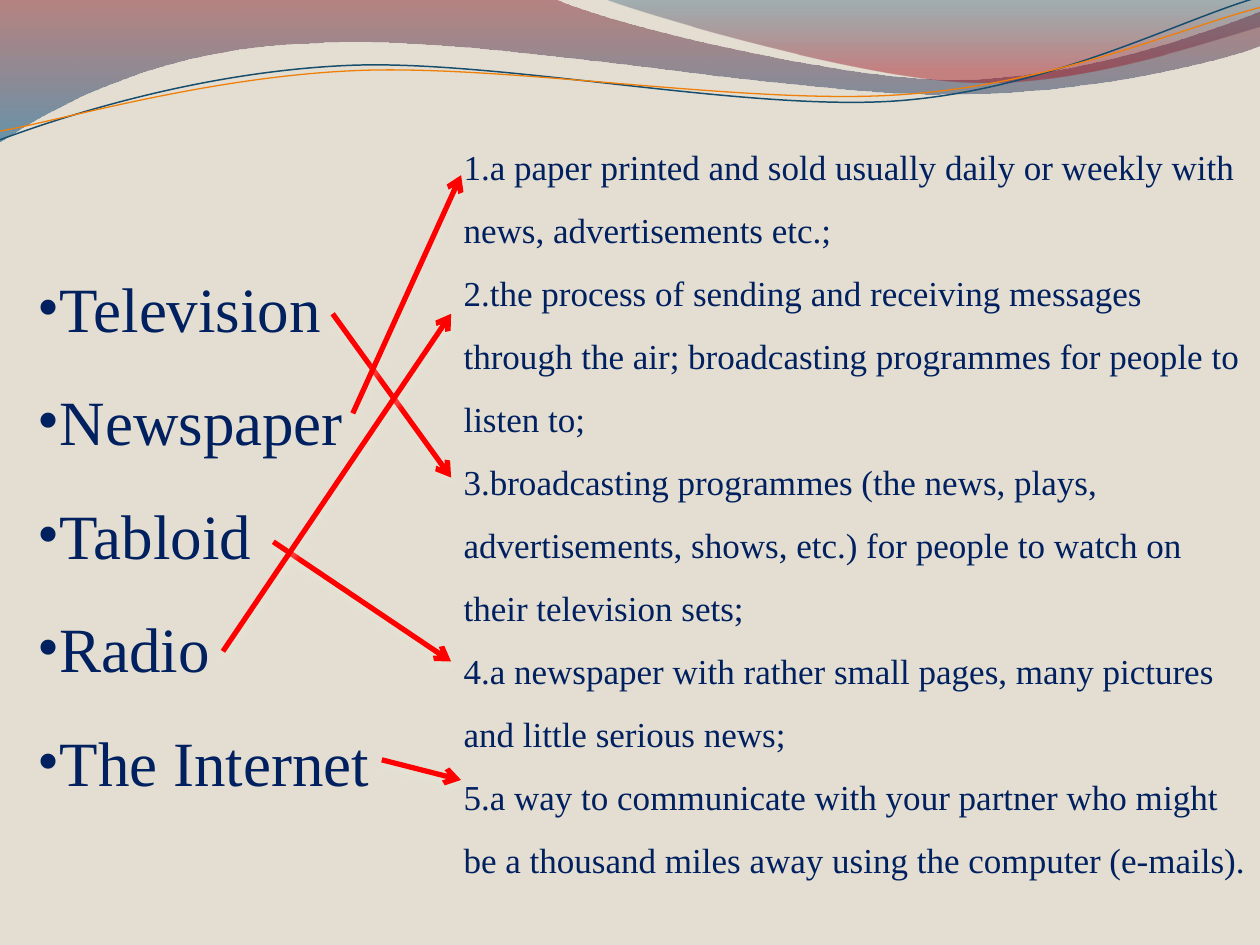
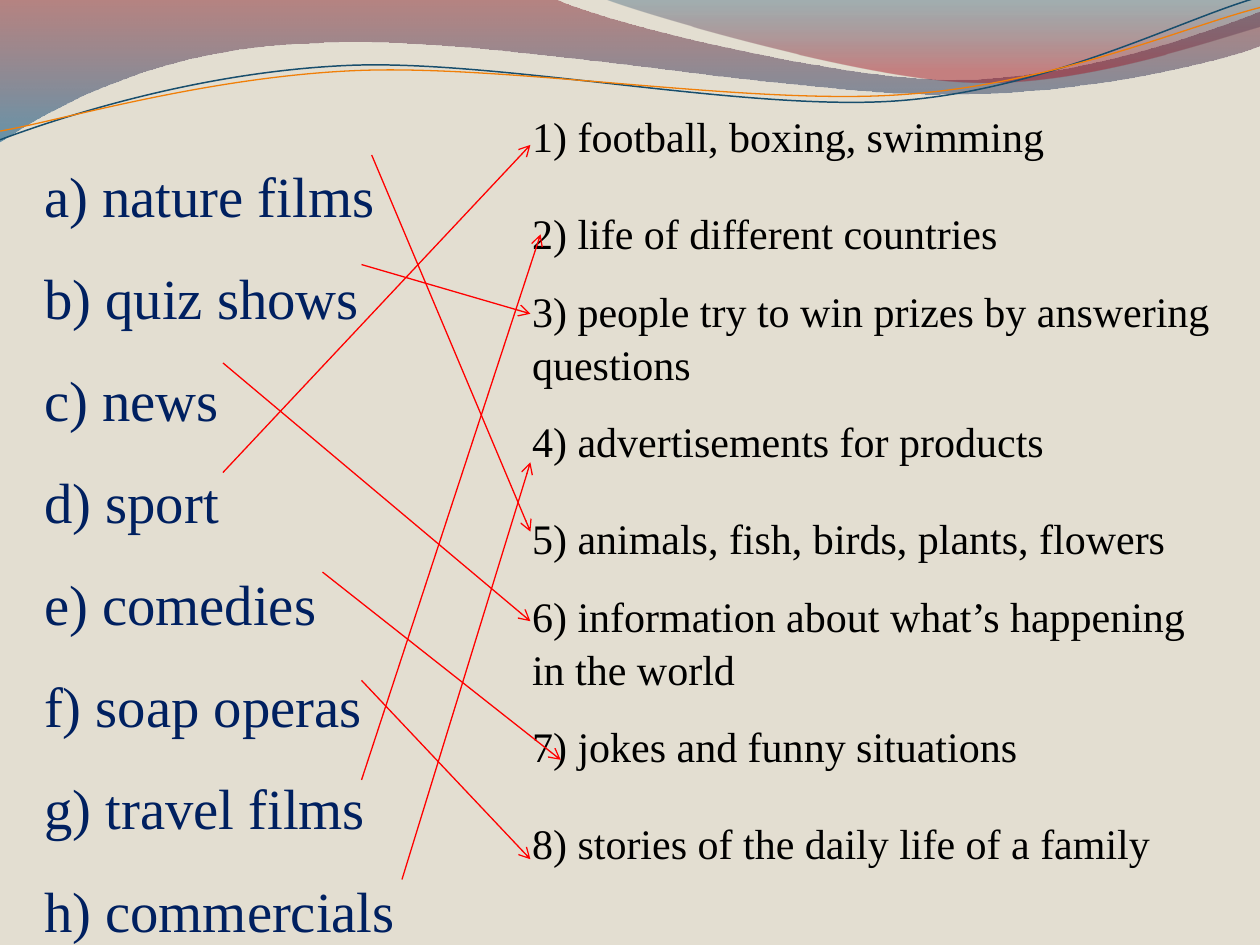
from lxml.etree import SubElement
from pptx import Presentation
from pptx.dml.color import RGBColor
from pptx.enum.shapes import MSO_CONNECTOR
from pptx.enum.text import MSO_ANCHOR, MSO_AUTO_SIZE, PP_ALIGN
from pptx.oxml.ns import qn
from pptx.util import Pt

NAVY, BLACK, RED, SAND, HALO = "002060", "000000", "FF0000", "E3DED1", "EBF0E0"
FONT = "Times New Roman"
NO_GRID_STYLE = "{2D5ABB26-0587-4C30-8999-92F81FD0307C}"


def colour(hex_code):
    return RGBColor.from_string(hex_code)


def write_lines(frame, lines, size, hex_code, spacing):
    frame.word_wrap = True
    frame.auto_size = MSO_AUTO_SIZE.NONE
    frame.text = "\n".join(lines)
    for paragraph in frame.paragraphs:
        paragraph.alignment = PP_ALIGN.LEFT
        paragraph.line_spacing = spacing
        paragraph.font.name = FONT
        paragraph.font.size = Pt(size)
        paragraph.font.bold = False
        paragraph.font.color.rgb = colour(hex_code)


prs = Presentation()
prs.slide_width, prs.slide_height = Pt(720), Pt(540)
master = prs.slide_master
master.background.fill.solid()
master.background.fill.fore_color.rgb = colour(SAND)
media_slide = prs.slides.add_slide(prs.slide_layouts[6])
programmes_slide = prs.slides.add_slide(prs.slide_layouts[5])

left_wave = [
    [(0, 0)],
    [(316.8, -0.7)],
    [(342.7, 12.2), (478, 45.4), (545.8, 45.4)],
    [(614.2, 45.4), (689.8, 18.7), (720, 6.5)],
    [(720.7, 25.9)],
    [(707.8, 31.7), (626.4, 54.7), (537, 54)],
    [(447.8, 54), (275, 20.2), (185, 24.5)],
    [(93, 25.9), (33, 59.8), (-0.7, 81.4)],
]
right_wave = [
    [(344.9, -0.7)],
    [(366.5, 7.9), (491, 44.6), (553.7, 46.8)],
    [(616.3, 49.7), (691.9, 23), (720, 15.1)],
    [(720, 0)],
]
blue_strand = [
    [(0, 79.9)],
    [(34.6, 67), (113.8, 41), (199.4, 37.4)],
    [(284.4, 33.8), (427, 64.1), (513.4, 57.6)],
    [(599.8, 51.1), (675.4, 10.8), (718.6, -1.4)],
]
orange_strand = [
    [(0, 74.9)],
    [(33.8, 69.1), (118, 43.9), (203.8, 40.3)],
    [(290.2, 36.7), (429.8, 60.5), (516.2, 54)],
    [(602, 48.2), (677.5, 15.1), (720, 4.3)],
]
header_parts = [
    (left_wave, [(0, "7E1621", 45), (1, "005689", 55)], None),
    (right_wave, [(0, "094467", 30), (0.8, "A10F1F", 45)], None),
    (blue_strand, None, ("184E6D", 0.85)),
    (orange_strand, None, ("F07F09", 0.75)),
]
for number, (segments, gradient, stroke) in enumerate(header_parts):
    start, *controls = [(Pt(x), Pt(y)) for segment in segments for x, y in segment]
    builder = media_slide.shapes.build_freeform(*start)
    builder.add_line_segments(controls, close=gradient is not None)
    part = builder.convert_to_shape()
    part.shadow.inherit = False
    straight_lines = iter(list(part.element.iter(qn("a:lnTo"))))
    for segment in segments[1:]:
        curve, *others = [next(straight_lines) for _ in segment]
        if others:
            curve.tag = qn("a:cubicBezTo")
        for other in others:
            curve.append(other[0])
            other.getparent().remove(other)
    if gradient:
        part.line.fill.background()
        part.fill.gradient()
        part.fill.gradient_angle = 270
        for stop, (position, hex_code, _) in zip(part.fill.gradient_stops, gradient):
            stop.position = position
            stop.color.rgb = colour(hex_code)
        for stop_colour, (_, _, opacity) in zip(part.element.iter(qn("a:srgbClr")), gradient):
            SubElement(stop_colour, qn("a:alpha"), val=str(opacity * 1000))
    else:
        part.fill.background()
        part.line.color.rgb = colour(stroke[0])
        part.line.width = Pt(stroke[1])
    part.element.nvSpPr.cNvPr.id = 101 + number
    master.shapes.element.append(part.element)

definitions = [
    "a paper printed and sold usually daily or weekly with news, advertisements etc.;",
    "the process of sending and receiving messages through the air; broadcasting programmes for people to listen to;",
    "broadcasting programmes (the news, plays, advertisements, shows, etc.) for people to watch on their television sets;",
    "a newspaper with rather small pages, many pictures and little serious news;",
    "a way to communicate with your partner who might be a thousand miles away using the computer (e-mails).",
]
media = ["Television", "Newspaper", "Tabloid", "Radio", "The Internet"]
media_lists = [
    (definitions, (257.8, 38.9, 462.2, 468), 20, MSO_ANCHOR.BOTTOM, "buAutoNum", {"type": "arabicPeriod"}),
    (media, (14.4, 127.4, 209.5, 334.1), 36, MSO_ANCHOR.MIDDLE, "buChar", {"char": "•"}),
]
for lines, box, size, anchor, bullet, bullet_kind in media_lists:
    frame = media_slide.shapes.add_textbox(*map(Pt, box)).text_frame
    frame.vertical_anchor = anchor
    write_lines(frame, lines, size, NAVY, 1.5)
    for paragraph in frame.paragraphs:
        properties = paragraph._p.get_or_add_pPr()
        properties.set("marL", "0")
        properties.set("indent", "0")
        run_defaults = properties.find(qn("a:defRPr"))
        run_defaults.addprevious(SubElement(properties, qn("a:buFont"), typeface=FONT))
        run_defaults.addprevious(SubElement(properties, qn(f"a:{bullet}"), **bullet_kind))

programmes = [
    "a) nature films", "b) quiz shows", "c) news", "d) sport",
    "e) comedies", "f) soap operas", "g) travel films", "h) commercials",
]
title = programmes_slide.shapes.title
title.left, title.top, title.width, title.height = map(Pt, (25.2, 54.7, 249.1, 538.6))
title_frame = title.text_frame
title_frame.margin_left = title_frame.margin_right = title_frame.margin_top = 0
title_frame.margin_bottom = Pt(54.2)
title_frame.vertical_anchor = MSO_ANCHOR.BOTTOM
write_lines(title_frame, programmes, 32.4, NAVY, 1.5)

descriptions = [
    "1) football, boxing, swimming",
    "2) life of different countries",
    "3) people try to win prizes by answering questions",
    "4) advertisements for products",
    "5) animals, fish, birds, plants, flowers",
    "6) information about what’s happening in the world",
    "7) jokes and funny situations",
    "8) stories of the daily life of a family",
]
table = programmes_slide.shapes.add_table(
    len(descriptions), 1, Pt(303.3), Pt(49.4), Pt(391), Pt(465.8)
).table
table.first_row = table.horz_banding = False
table._tbl.tblPr.find(qn("a:tableStyleId")).text = NO_GRID_STYLE
for index, description in enumerate(descriptions):
    table.rows[index].height = Pt(63.4 if index in (2, 5) else 55.5)
    cell = table.cell(index, 0)
    cell.fill.background()
    cell.vertical_anchor = MSO_ANCHOR.MIDDLE
    cell.margin_left = cell.margin_right = cell.margin_top = cell.margin_bottom = Pt(0.75)
    write_lines(cell.text_frame, [description], 24, BLACK, 1.15)
    cell.text_frame.paragraphs[0].space_after = Pt(10)

media_matches = [
    (190.1, 179.3, 257.8, 272.9),
    (201.6, 236.2, 263.5, 100.1),
    (218.2, 434.2, 263.5, 445.7),
    (156.2, 309.6, 257.8, 378),
    (127.4, 372.2, 257.8, 179.3),
]
programme_matches = [
    (212.4, 88.6, 303.1, 303.8),
    (206.6, 151.2, 303.1, 179.3),
    (127.4, 207.4, 303.1, 355),
    (229.7, 502.6, 303.1, 264.2),
    (206.6, 388.8, 303.1, 491),
    (184.3, 326.9, 320.4, 434.2),
    (206.6, 445.7, 308.9, 133.9),
    (127.4, 270, 303.1, 82.8),
]
for slide, matches, width, has_shadow in [
    (media_slide, media_matches, 3, True),
    (programmes_slide, programme_matches, 0.75, False),
]:
    for ends in matches:
        arrow = slide.shapes.add_connector(MSO_CONNECTOR.STRAIGHT, *map(Pt, ends))
        arrow.line.color.rgb = colour(RED)
        arrow.line.width = Pt(width)
        SubElement(arrow.line._get_or_add_ln(), qn("a:tailEnd"), type="arrow")
        effects = SubElement(arrow.element.spPr, qn("a:effectLst"))
        if has_shadow:
            shadow = SubElement(
                effects, qn("a:outerShdw"), blurRad=str(Pt(4.5)), dist=str(Pt(3)),
                dir="5400000", rotWithShape="0",
            )
            shade = SubElement(shadow, qn("a:srgbClr"), val=HALO)
            SubElement(shade, qn("a:alpha"), val="48000")

prs.save("out.pptx")
